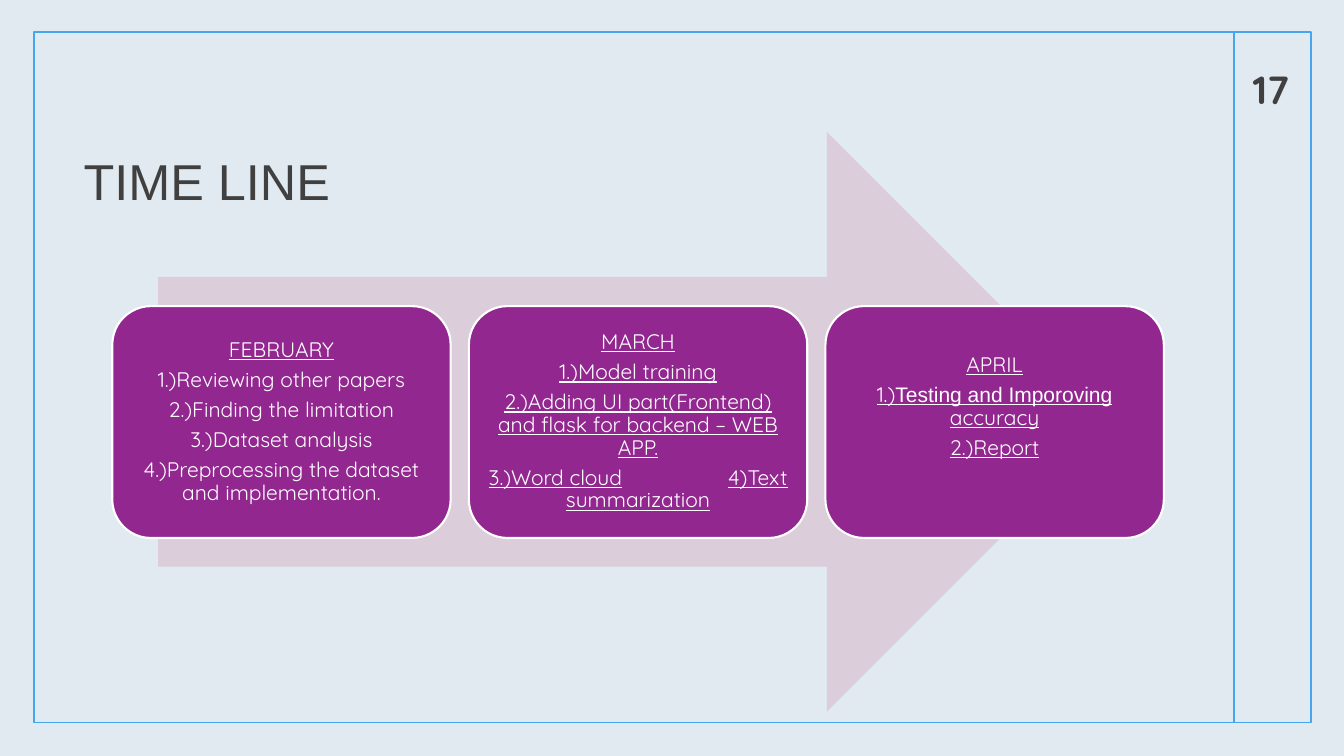
from lxml.etree import SubElement
from pptx import Presentation
from pptx.dml.color import RGBColor
from pptx.enum.shapes import MSO_CONNECTOR, MSO_SHAPE
from pptx.enum.text import MSO_ANCHOR, PP_ALIGN
from pptx.oxml.ns import qn
from pptx.util import Pt

COLOURS = {name: RGBColor.from_string(value) for name, value in {
    "background": "E1EAF1", "frame": "45A5ED", "text": "404040",
    "arrow": "DCCDDB", "card": "92278F", "white": "FFFFFF"}.items()}
FONT = "Quicksand"


def add_plain_shape(kind, left, top, width, height, fill=None, line=None, line_width=1.25):
    """Add a shape without shadow; a missing fill or line stays empty."""
    shape = slide.shapes.add_shape(kind, Pt(left), Pt(top), Pt(width), Pt(height))
    shape.shadow.inherit = False
    if fill:
        shape.fill.solid()
        shape.fill.fore_color.rgb = COLOURS[fill]
    else:
        shape.fill.background()
    if line:
        shape.line.color.rgb = COLOURS[line]
        shape.line.width = Pt(line_width)
    else:
        shape.line.fill.background()
    return shape


def style_font(font, size, colour, name=FONT):
    font.name = name
    font.size = Pt(size)
    font.color.rgb = COLOURS[colour]


presentation = Presentation()
presentation.slide_width, presentation.slide_height = Pt(960), Pt(540)
slide = presentation.slides.add_slide(presentation.slide_layouts[5])
slide.background.fill.solid()
slide.background.fill.fore_color.rgb = COLOURS["background"]

# Frame with the page number column
divider = slide.shapes.add_connector(MSO_CONNECTOR.STRAIGHT, Pt(881.3), Pt(23), Pt(881.3), Pt(516.2))
divider.line.color.rgb = COLOURS["frame"]
divider.line.width = Pt(1.25)
SubElement(divider._element.spPr, qn("a:effectLst"))
add_plain_shape(MSO_SHAPE.RECTANGLE, 24.5, 23, 912.2, 493.2, line="frame")

# Title
title = slide.shapes.title
title.left, title.top, title.width, title.height = Pt(52.6), Pt(67), Pt(733), Pt(87.1)
title.text_frame.text = "TIME LINE"
title.text_frame.vertical_anchor = MSO_ANCHOR.BOTTOM
title_paragraph = title.text_frame.paragraphs[0]
title_paragraph.alignment = PP_ALIGN.LEFT
style_font(title_paragraph.runs[0].font, 36, "text", "Arial")

# Arrow with one card per month: lines, count of underlined lines, bottom inset
add_plain_shape(MSO_SHAPE.RIGHT_ARROW, 113, 94.3, 684.7, 414, fill="arrow")
months = [
    (["FEBRUARY", "1.)Reviewing other papers", "2.)Finding the limitation",
      "3.)Dataset analysis", "4.)Preprocessing the dataset and implementation."], 1, 4.5),
    (["MARCH", "1.)Model training",
      "2.)Adding UI part(Frontend) and flask for backend – WEB APP.",
      "3.)Word cloud\t4)Text summarization"], 4, 4.5),
    (["APRIL", ["1.)", "Testing and Imporoving", " accuracy"], "2.)Report"], 3, 26),
]
for column, (lines, underlined, bottom_inset) in enumerate(months):
    card = add_plain_shape(MSO_SHAPE.ROUNDED_RECTANGLE, 80.2 + 254.7 * column, 218.7,
                           241.7, 165.6, "card", "white", 1.5)
    frame = card.text_frame
    frame.word_wrap = True
    frame.vertical_anchor = MSO_ANCHOR.MIDDLE
    frame.margin_left = frame.margin_right = frame.margin_top = Pt(4.5)
    frame.margin_bottom = Pt(bottom_inset)
    for index, line in enumerate(lines):
        paragraph = frame.paragraphs[0] if index == 0 else frame.add_paragraph()
        paragraph.alignment = PP_ALIGN.CENTER
        paragraph.line_spacing = 0.9
        paragraph.space_after = Pt(5.25)
        if "\t" in line:
            tab_list = SubElement(paragraph._p.get_or_add_pPr(), qn("a:tabLst"))
            SubElement(tab_list, qn("a:tab"), pos=str(Pt(171)), algn="l")
        for part in [line] if isinstance(line, str) else line:
            run = paragraph.add_run()
            run.text = part
            style_font(run.font, 15, "white", "Arial" if part.startswith("Testing") else FONT)
            run.font.underline = index < underlined

# Page number
page_number = slide.shapes.add_textbox(Pt(874.8), Pt(23), Pt(66.2), Pt(60.5))
page_number.text_frame.word_wrap = True
page_number.text_frame.vertical_anchor = MSO_ANCHOR.BOTTOM
page_number.text_frame.text = "17"
number_paragraph = page_number.text_frame.paragraphs[0]
number_paragraph.alignment = PP_ALIGN.CENTER
style_font(number_paragraph.runs[0].font, 28, "text")
number_paragraph.runs[0].font.bold = True

presentation.save("out.pptx")
